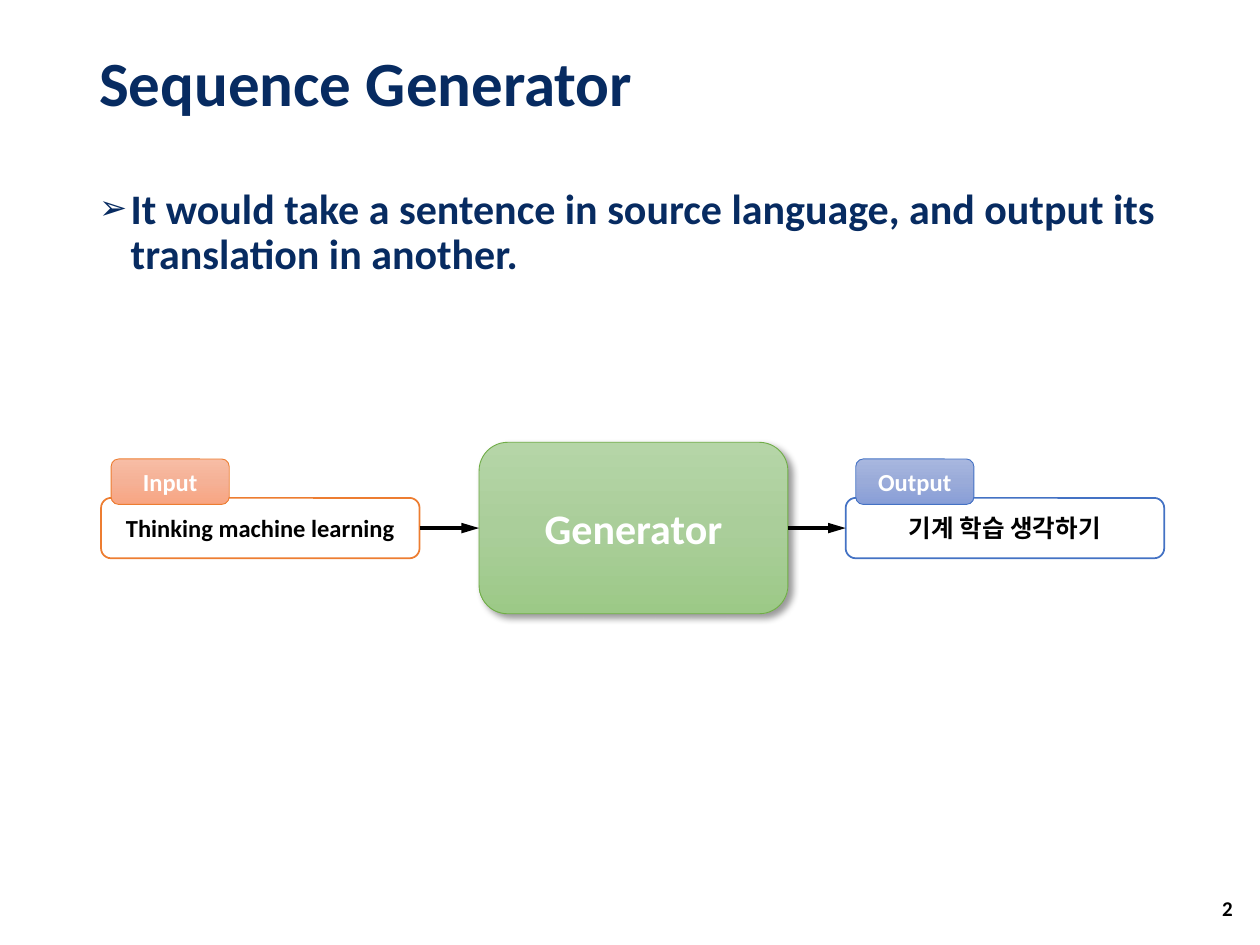
"""Build the sequence generator slide: input sentence, generator, output sentence."""
from dataclasses import dataclass

from lxml.etree import SubElement as Sub
from pptx import Presentation
from pptx.dml.color import RGBColor as RGB
from pptx.enum.shapes import MSO_CONNECTOR as CONN, MSO_SHAPE as SHAPE
from pptx.enum.text import MSO_ANCHOR as ANCHOR, MSO_AUTO_SIZE as FIT, PP_ALIGN as ALIGN
from pptx.oxml.ns import qn
from pptx.util import Pt

COLORS = {
    "navy": "072B61", "black": "000000", "white": "FFFFFF",
    "green": "70AD47", "orange": "ED7D31", "blue": "4472C4",
}
GRADIENTS = {
    "green": ("B5D5A7", "AACE9A", "9CC987"),
    "orange": ("F7BDA5", "F5B196", "F8A582"),
    "blue": ("A8B7DF", "9AABD9", "889ED7"),
}
FONT = "Calibri"
FLOW_Y = 301.75
BOX_W, BOX_H = 182, 34.5
TAB_DX, TAB_DY, TAB_W, TAB_H = 5.75, -22.25, 67.5, 26


@dataclass
class Sentence:
    label: str
    text: str
    color: str
    left: float


SENTENCES = [
    Sentence("Input", "Thinking machine learning", "orange", 57.75),
    Sentence("Output", "기계 학습 생각하기", "blue", 483.25),
]


def rgb(name: str) -> RGB:
    return RGB.from_string(COLORS[name])


def write(sp, text: str, size: float, color: str, align=ALIGN.CENTER, anchor=ANCHOR.MIDDLE):
    tf = sp.text_frame
    frame_format = {"word_wrap": True, "auto_size": FIT.NONE, "vertical_anchor": anchor}
    for name, value in frame_format.items():
        setattr(tf, name, value)
    p = tf.paragraphs[0]
    p.alignment = align
    r = p.add_run()
    r.text = text
    for name, value in {"name": FONT, "size": Pt(size), "bold": True}.items():
        setattr(r.font, name, value)
    r.font.color.rgb = rgb(color)
    return p


def place(sp, left: float, top: float, width: float, height: float) -> None:
    bounds = {"left": left, "top": top, "width": width, "height": height}
    for name, value in bounds.items():
        setattr(sp, name, Pt(value))


def add_box(s, left: float, top: float, width: float, height: float, color: str, line: float):
    sp = s.shapes.add_shape(SHAPE.ROUNDED_RECTANGLE, Pt(left), Pt(top), Pt(width), Pt(height))
    sp.shadow.inherit = False
    sp.fill.solid()
    sp.fill.fore_color.rgb = rgb("white")
    sp.line.color.rgb = rgb(color)
    sp.line.width = Pt(line)
    return sp


def shade(sp, color: str) -> None:
    sp.fill.gradient()
    sp.fill.gradient_angle = 270
    stops = sp._element.spPr.find(qn("a:gradFill")).find(qn("a:gsLst"))
    for stop in list(stops):
        stops.remove(stop)
    for i, value in enumerate(GRADIENTS[color]):
        stop = Sub(stops, qn("a:gs"), pos=str(i * 50000))
        Sub(stop, qn("a:srgbClr"), val=value)


def drop_shadow(sp) -> None:
    effects = sp._element.spPr.find(qn("a:effectLst"))
    shadow = Sub(effects, qn("a:outerShdw"), blurRad=str(Pt(4)), dist=str(Pt(3)),
                 dir="2700000", algn="tl", rotWithShape="0")
    color = Sub(shadow, qn("a:srgbClr"), val=COLORS["black"])
    Sub(color, qn("a:alpha"), val="40000")


def add_sentence(s, item: Sentence):
    top = FLOW_Y - BOX_H / 2
    box = add_box(s, item.left, top, BOX_W, BOX_H, item.color, 1)
    write(box, item.text, 14, "black")
    tab = add_box(s, item.left + TAB_DX, top + TAB_DY, TAB_W, TAB_H, item.color, 0.5)
    shade(tab, item.color)
    write(tab, item.label, 14, "white")
    return box


def add_arrow(s, source, target) -> None:
    cx = s.shapes.add_connector(CONN.STRAIGHT, 0, 0, 0, 0)
    cx.begin_connect(source, 3)
    cx.end_connect(target, 1)
    cx.line.color.rgb = rgb("black")
    cx.line.width = Pt(2)
    Sub(cx.line._get_or_add_ln(), qn("a:tailEnd"), type="triangle", len="lg")
    Sub(cx._element.spPr, qn("a:effectLst"))


def add_bullet(p) -> None:
    pPr = p._p.get_or_add_pPr()
    pPr.set("marL", str(Pt(18)))
    pPr.set("indent", str(Pt(-18)))
    Sub(pPr, qn("a:buSzPct"), val="80000")
    Sub(pPr, qn("a:buFont"), typeface=FONT)
    Sub(pPr, qn("a:buChar"), char="➢")


def main() -> None:
    prs = Presentation()
    prs.slide_width, prs.slide_height = Pt(720), Pt(540)
    s = prs.slides.add_slide(prs.slide_layouts[1])

    title, body = s.placeholders
    place(title, 49.5, 13, 621, 72.5)
    p = write(title, "Sequence Generator", 36, "navy", ALIGN.LEFT)
    p.line_spacing = 0.9

    place(body, 49.5, 103.75, 621, 391.5)
    p = write(body, "It would take a sentence in source language, "
              "and output its translation in another.", 24, "navy", ALIGN.LEFT, ANCHOR.TOP)
    add_bullet(p)
    p.line_spacing, p.space_before = 0.9, Pt(0)

    number = s.shapes.add_textbox(Pt(674), Pt(504.75), Pt(37.5), Pt(28.75))
    write(number, "2", 12, "black", ALIGN.RIGHT)

    generator = add_box(s, 273.75, FLOW_Y - 49, 176.5, 98, "green", 0.5)
    shade(generator, "green")
    drop_shadow(generator)
    write(generator, "Generator", 24, "white")

    source, result = [add_sentence(s, item) for item in SENTENCES]
    add_arrow(s, source, generator)
    add_arrow(s, generator, result)
    prs.save("out.pptx")


if __name__ == "__main__":
    main()
